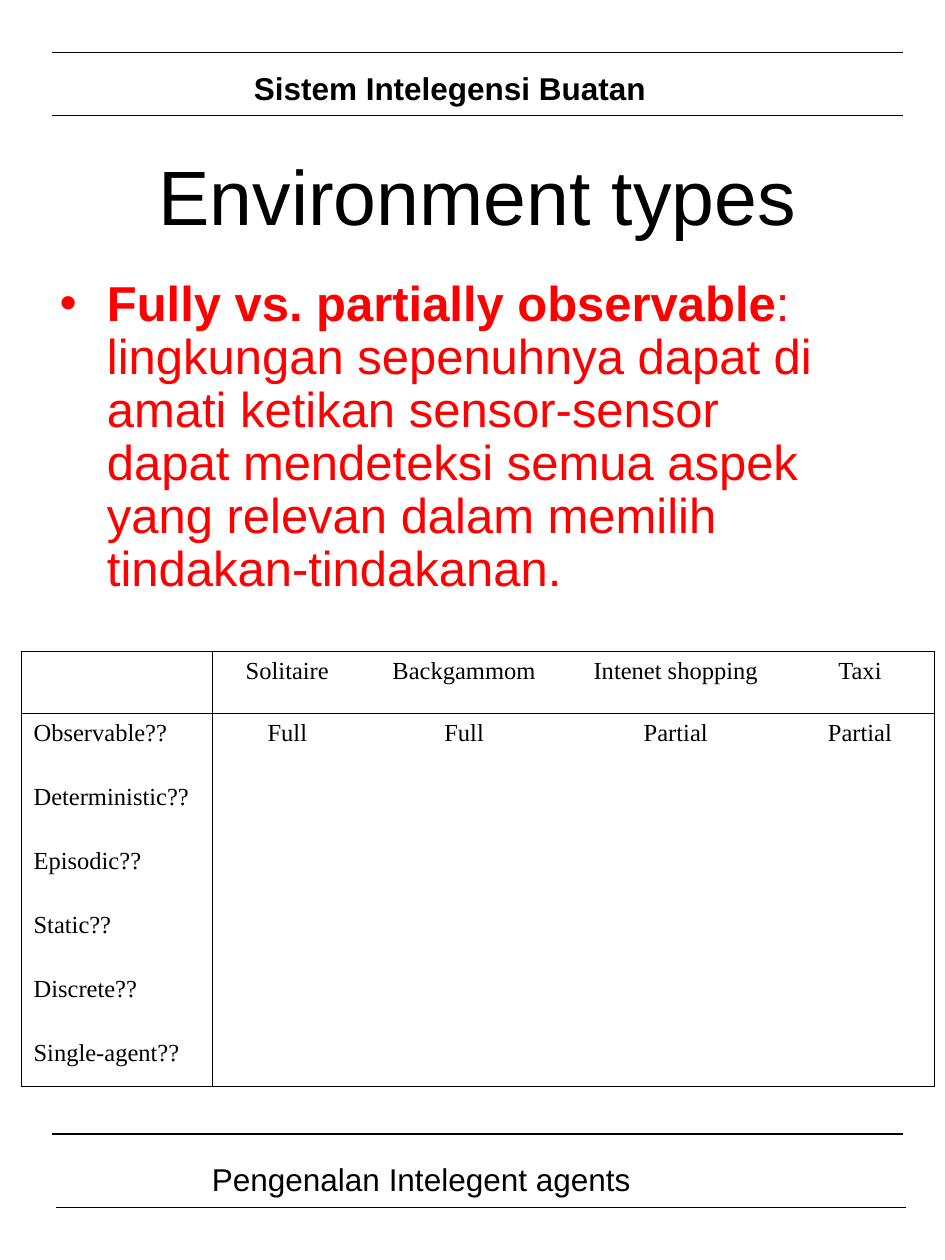
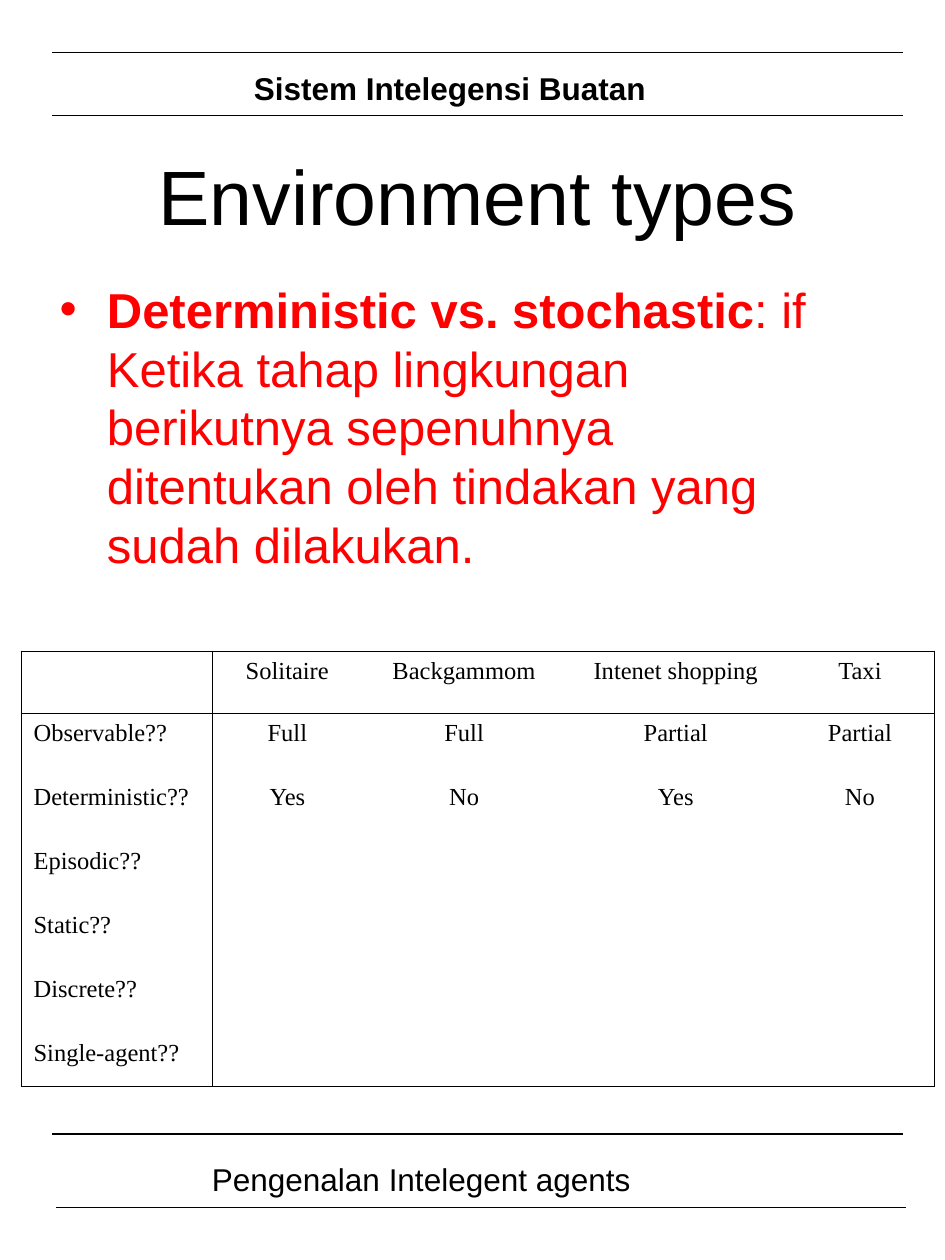
from dataclasses import dataclass

from lxml import etree
from pptx import Presentation
from pptx.dml.color import RGBColor
from pptx.enum.shapes import MSO_CONNECTOR
from pptx.enum.text import MSO_ANCHOR, MSO_AUTO_SIZE, PP_ALIGN
from pptx.oxml.ns import qn
from pptx.util import Pt

STRAIGHT = MSO_CONNECTOR.STRAIGHT
TOP, MIDDLE = MSO_ANCHOR.TOP, MSO_ANCHOR.MIDDLE
LEFT, CENTER = PP_ALIGN.LEFT, PP_ALIGN.CENTER
NO_AUTOFIT = MSO_AUTO_SIZE.NONE

BLACK = RGBColor(0x00, 0x00, 0x00)
RED = RGBColor(0xFF, 0x00, 0x00)
SANS, SERIF = "Arial", "Times New Roman"
TITLE_ONLY = 5
HANGING = 27

ENVIRONMENTS = ["Solitaire", "Backgammom", "Intenet shopping", "Taxi"]
PROPERTIES = ["Observable??", "Deterministic??", "Episodic??",
              "Static??", "Discrete??", "Single-agent??"]
COLUMN_WIDTHS = [109.5, 85.5, 116.5, 125.5, 85]
ROW_HEIGHTS = [35.4] + [36.7] * 5 + [30]
OBSERVABLE = ["Full", "Full", "Partial", "Partial"]
DETERMINISTIC = ["Yes", "No", "Yes", "No"]


@dataclass(frozen=True)
class Rule:
    left: float
    y: float
    width: float = 486


@dataclass(frozen=True)
class BandLabel:
    text: str
    left: float
    top: float
    width: float
    bold: bool


@dataclass(frozen=True)
class EnvironmentPage:
    term: str
    explanation: str
    line_spacing: float
    answers: list[list[str]]


RULES = [Rule(30, 30), Rule(30, 66), Rule(30, 648), Rule(32, 690)]
BAND_LABELS = [
    BandLabel("Sistem Intelegensi Buatan", 138, 36, 246, True),
    BandLabel("Pengenalan Intelegent agents", 114, 659.5, 306, False),
]
PAGES = [
    EnvironmentPage(
        "Fully vs. partially observable",
        ": lingkungan sepenuhnya dapat di amati ketikan sensor-sensor dapat "
        "mendeteksi semua aspek yang relevan dalam memilih tindakan-tindakanan.",
        0.9, [OBSERVABLE]),
    EnvironmentPage(
        "Deterministic vs. stochastic",
        ": if Ketika tahap lingkungan berikutnya sepenuhnya ditentukan oleh "
        "tindakan yang sudah dilakukan.",
        1.0, [OBSERVABLE, DETERMINISTIC]),
]


def add_run(paragraph, text: str, size: float, font: str = SANS,
            color: RGBColor = BLACK, bold: bool = False) -> None:
    run = paragraph.add_run()
    run.text = text
    run.font.name = font
    run.font.size = Pt(size)
    run.font.bold = bold
    run.font.color.rgb = color


def add_text_frame(slide, left: float, top: float, width: float, height: float):
    frame = slide.shapes.add_textbox(Pt(left), Pt(top), Pt(width), Pt(height)).text_frame
    frame.word_wrap = True
    frame.vertical_anchor = TOP
    return frame


def draw_rule(slide, rule: Rule) -> None:
    line = slide.shapes.add_connector(
        STRAIGHT, Pt(rule.left), Pt(rule.y), Pt(rule.left + rule.width), Pt(rule.y))
    line.line.color.rgb = BLACK
    line.line.width = Pt(0.75)
    etree.SubElement(line._element.spPr, qn("a:effectLst"))


def draw_bands(slide) -> None:
    for rule in RULES:
        draw_rule(slide, rule)
    for label in BAND_LABELS:
        frame = add_text_frame(slide, label.left, label.top, label.width, 28.8)
        add_run(frame.paragraphs[0], label.text, 18, bold=label.bold)


def set_title(slide, text: str) -> None:
    title = slide.shapes.title
    title.left, title.top, title.width, title.height = Pt(30), Pt(78), Pt(486), Pt(70.5)
    frame = title.text_frame
    frame.auto_size = NO_AUTOFIT
    frame.word_wrap = True
    frame.vertical_anchor = MIDDLE
    frame.margin_bottom = Pt(8)
    paragraph = frame.paragraphs[0]
    paragraph.alignment = CENTER
    add_run(paragraph, text, 44)


def draw_definition(slide, page: EnvironmentPage) -> None:
    paragraph = add_text_frame(slide, 27, 156, 459, 198).paragraphs[0]
    properties = paragraph._p.get_or_add_pPr()
    properties.set("marL", str(Pt(HANGING)))
    properties.set("indent", str(-Pt(HANGING)))
    bullet_color = etree.SubElement(properties, qn("a:buClr"))
    etree.SubElement(bullet_color, qn("a:srgbClr"), val=str(RED))
    etree.SubElement(properties, qn("a:buFont"), typeface=SANS)
    etree.SubElement(properties, qn("a:buChar"), char="•")
    paragraph.line_spacing = page.line_spacing
    add_run(paragraph, page.term, 28, color=RED, bold=True)
    add_run(paragraph, page.explanation, 28, color=RED)


def set_borders(cell, row: int, column: int) -> None:
    last_row, last_column = len(ROW_HEIGHTS) - 1, len(COLUMN_WIDTHS) - 1
    sides = {
        "a:lnL": column in (0, 1),
        "a:lnR": column in (0, last_column),
        "a:lnT": row in (0, 1),
        "a:lnB": row in (0, last_row),
    }
    properties = cell._tc.get_or_add_tcPr()
    for position, (side, visible) in enumerate(sides.items()):
        border = etree.Element(qn(side), w=str(Pt(0.45)))
        if visible:
            fill = etree.SubElement(border, qn("a:solidFill"))
            etree.SubElement(fill, qn("a:srgbClr"), val=str(BLACK))
        else:
            etree.SubElement(border, qn("a:noFill"))
        properties.insert(position, border)


def draw_comparison(slide, answers: list[list[str]]) -> None:
    table = slide.shapes.add_table(
        len(ROW_HEIGHTS), len(COLUMN_WIDTHS), Pt(12), Pt(372),
        Pt(sum(COLUMN_WIDTHS)), Pt(sum(ROW_HEIGHTS))).table
    table.first_row = False
    table.horz_banding = False
    for column, width in zip(table.columns, COLUMN_WIDTHS):
        column.width = Pt(width)
    for row, height in zip(table.rows, ROW_HEIGHTS):
        row.height = Pt(height)

    blank = [""] * len(ENVIRONMENTS)
    filled = answers + [blank] * (len(PROPERTIES) - len(answers))
    grid = [["", *ENVIRONMENTS]]
    grid += [[name, *values] for name, values in zip(PROPERTIES, filled)]
    for r, texts in enumerate(grid):
        for c, text in enumerate(texts):
            cell = table.cell(r, c)
            cell.fill.background()
            set_borders(cell, r, c)
            paragraph = cell.text_frame.paragraphs[0]
            paragraph.alignment = CENTER if c else LEFT
            if text:
                add_run(paragraph, text, 14, SERIF)


def main() -> None:
    presentation = Presentation()
    presentation.slide_width, presentation.slide_height = Pt(540), Pt(720)
    for page in PAGES:
        slide = presentation.slides.add_slide(presentation.slide_layouts[TITLE_ONLY])
        draw_bands(slide)
        draw_definition(slide, page)
        draw_comparison(slide, page.answers)
        set_title(slide, "Environment types")
    presentation.save("out.pptx")


if __name__ == "__main__":
    main()
